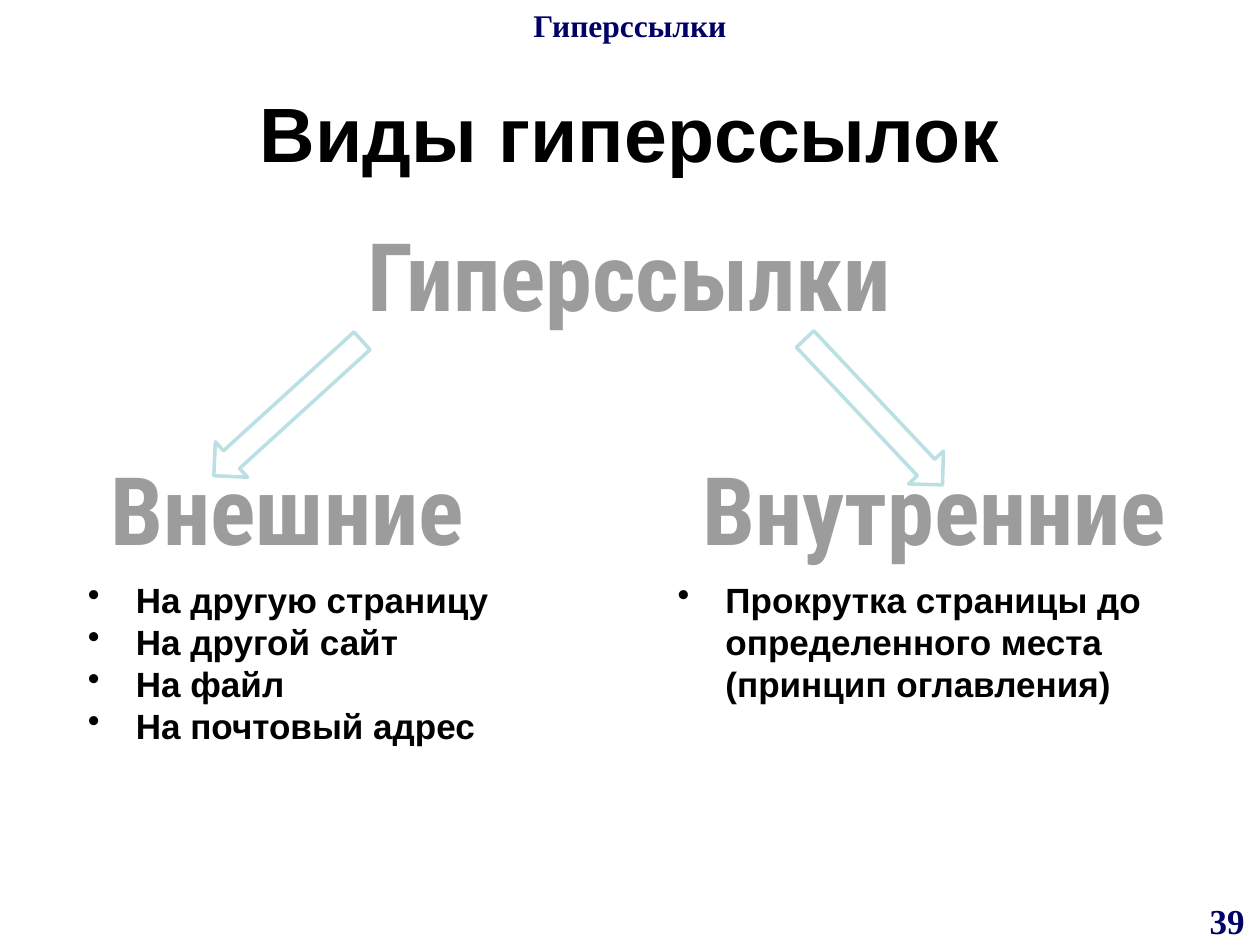
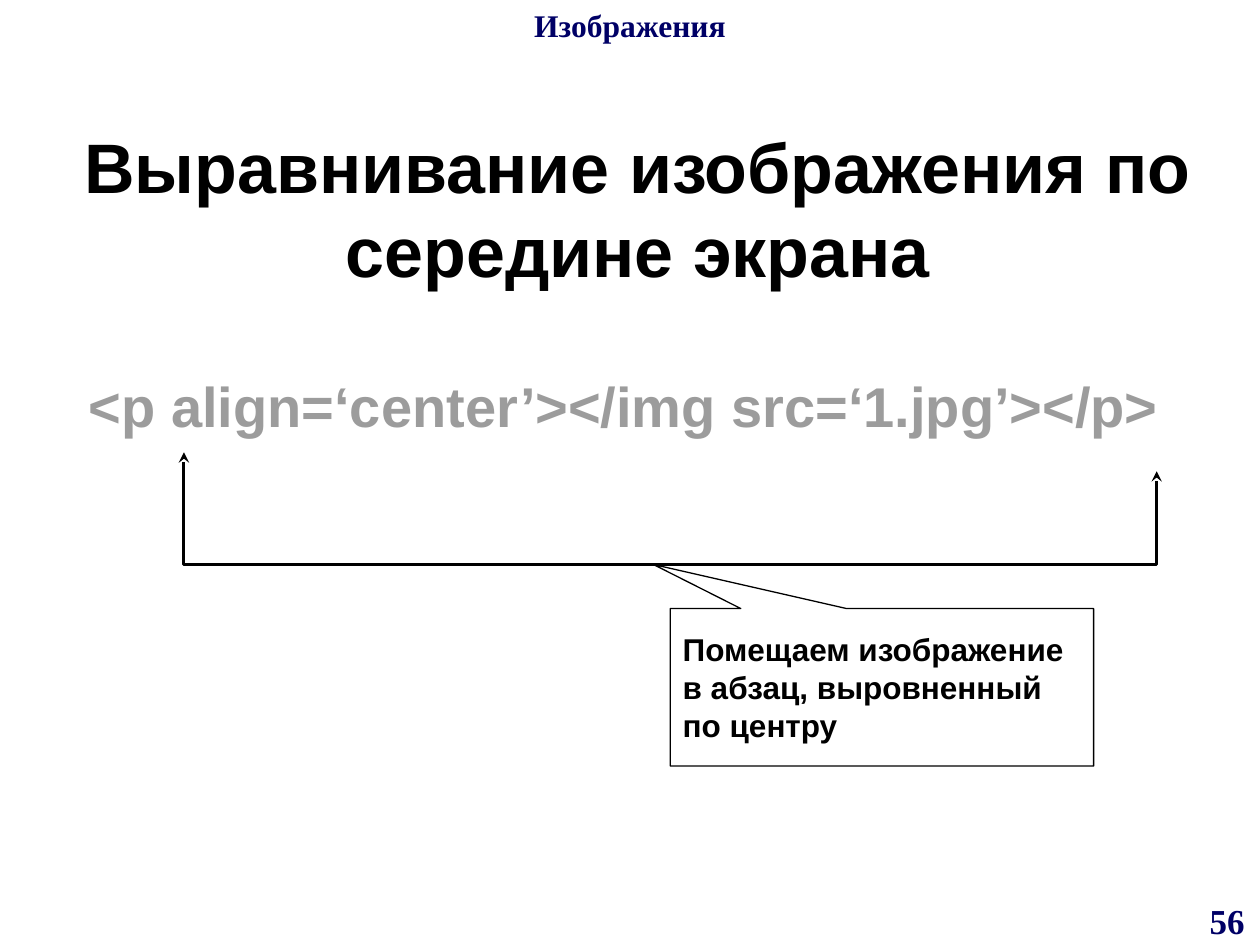
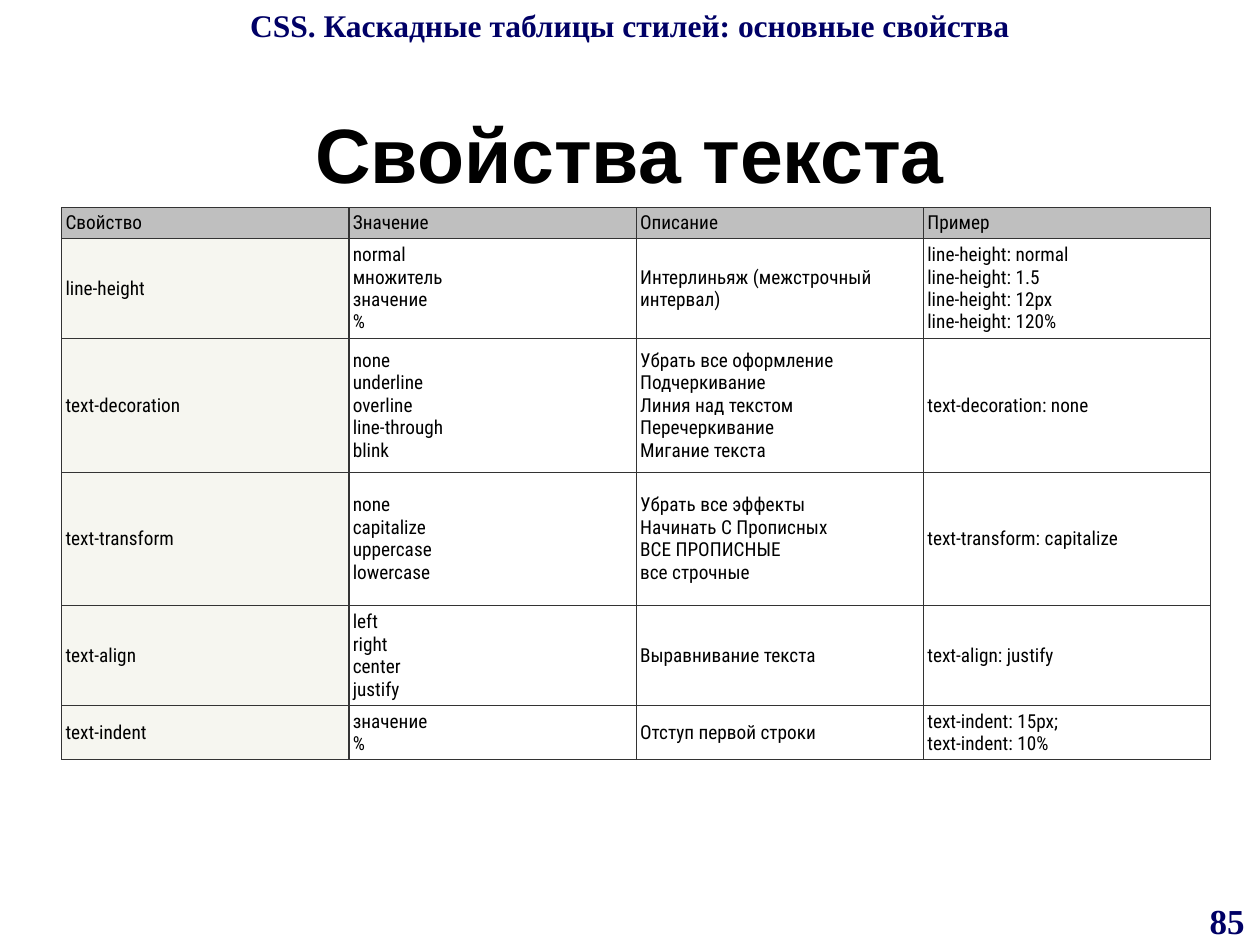
"""Builds three lesson slides on hyperlinks, images and CSS text properties."""
from lxml import etree
from pptx import Presentation
from pptx import util as u
from pptx.dml.color import RGBColor
from pptx.enum import shapes, text
from pptx.oxml.ns import qn

NAVY = RGBColor(0x00, 0x00, 0x66)
BLACK = RGBColor(0x00, 0x00, 0x00)
GREY = RGBColor(0x9C, 0x9C, 0x9C)
WHITE = RGBColor(0xFF, 0xFF, 0xFF)
PALE_BLUE = RGBColor(0xBB, 0xE0, 0xE3)
HEAD_FILL = RGBColor(0xBF, 0xBF, 0xBF)
NAME_FILL = RGBColor(0xF6, 0xF6, 0xF0)
BORDER = RGBColor(0x33, 0x33, 0x33)

SERIF, SANS, CONDENSED = "Times New Roman", "Arial", "Roboto Condensed"
WIDTH, HEIGHT = 10, 7.5
LEFT, CENTER = text.PP_ALIGN.LEFT, text.PP_ALIGN.CENTER

HEADINGS = [
    ("Гиперссылки", (2.38, 1.67, 5.23, 1.01)),
    ("Внешние", (0.48, 3.53, 3.6, 1.01)),
    ("Внутренние", (5.07, 3.53, 4.69, 1.01)),
]
ARROWS = [((1.49, 3.05, 1.59, 0.38), 137.7), ((6.14, 3.08, 1.59, 0.38), 46.7)]
LINK_LISTS = [
    (["На другую страницу", "На другой сайт", "На файл", "На почтовый адрес"],
     (0.6, 4.54, 3.8, 1.45)),
    (["Прокрутка страницы до определенного места (принцип оглавления)"],
     (5.28, 4.54, 4.07, 1.11)),
]
BRACKET = [(1.46, 3.59), (1.46, 4.48), (9.18, 4.48), (9.18, 3.74)]
ROW_HEIGHTS = [0.2, 0.69, 1.06, 1.06, 0.69, 0.36]
COLUMN_WIDTH = 2.28
PROPERTIES = [
    ("Свойство", "Значение", "Описание", "Пример"),
    ("line-height", "normal\nмножитель\nзначение\n%", "Интерлиньяж (межстрочный интервал)",
     "line-height: normal\nline-height: 1.5\nline-height: 12px\nline-height: 120%"),
    ("text-decoration", "none\nunderline\noverline\nline-through\nblink",
     "Убрать все оформление\nПодчеркивание\nЛиния над текстом\nПеречеркивание\nМигание текста",
     "text-decoration: none"),
    ("text-transform", "none\ncapitalize\nuppercase\nlowercase",
     "Убрать все эффекты\nНачинать С Прописных\nВСЕ ПРОПИСНЫЕ\nвсе строчные",
     "text-transform: capitalize"),
    ("text-align", "left\nright\ncenter\njustify", "Выравнивание текста", "text-align: justify"),
    ("text-indent", "значение\n%", "Отступ первой строки",
     "text-indent: 15px;\ntext-indent: 10%"),
]


def inches(values):
    return [u.Inches(value) for value in values]


def style_runs(paragraph, size, font, color, bold=True):
    for run in paragraph.runs:
        run.font.size, run.font.name, run.font.bold = u.Pt(size), font, bold
        run.font.color.rgb = color


def add_text(slide, box, lines, size, font=SANS, color=BLACK, align=LEFT, wrap=True):
    shape = slide.shapes.add_textbox(*inches(box))
    shape.text_frame.word_wrap = wrap
    shape.text_frame.text = "\n".join(lines)
    for paragraph in shape.text_frame.paragraphs:
        paragraph.alignment = align
        style_runs(paragraph, size, font, color)
    return shape


def add_outlined(slide, box, line, size, font):
    shape = add_text(slide, box, [line], size, font, GREY, CENTER, wrap=False)
    for run in shape.text_frame.paragraphs[0].runs:
        outline = etree.Element(qn("a:ln"), w=str(u.Pt(1)))
        add_solid_fill(outline, BLACK)
        run.font._element.insert(0, outline)


def add_solid_fill(parent, color):
    fill = etree.SubElement(parent, qn("a:solidFill"))
    etree.SubElement(fill, qn("a:srgbClr"), val=str(color))


def add_bullets(shape):
    for paragraph in shape.text_frame.paragraphs:
        properties = paragraph._p.get_or_add_pPr()
        properties.set("marL", str(u.Inches(0.38)))
        properties.set("indent", str(-u.Inches(0.38)))
        etree.SubElement(properties, qn("a:buChar"), char="•")


def style_shape(shape, color, width, fill=None):
    shape.shadow.inherit = False
    shape.line.color.rgb = color
    shape.line.width = u.Pt(width)
    if fill is None:
        shape.fill.background()
    else:
        shape.fill.solid()
        shape.fill.fore_color.rgb = fill


def add_slide(presentation, topic, number, title, title_box, title_size=44):
    slide = presentation.slides.add_slide(presentation.slide_layouts[6])
    add_text(slide, (9.48, 7.09, 0.52, 0.41), [number], 20, SERIF, NAVY, CENTER)
    add_text(slide, (0, 0, WIDTH, 0.63), [topic], 18, SERIF, NAVY, CENTER)
    add_text(slide, title_box, [title], title_size, align=CENTER)
    return slide


def build_links(presentation):
    slide = add_slide(presentation, "Гиперссылки", "39", "Виды гиперссылок", (0.5, 0.63, 9, 0.92))
    for heading, box in HEADINGS:
        add_outlined(slide, box, heading, 54, CONDENSED)
    for box, rotation in ARROWS:
        arrow = slide.shapes.add_shape(shapes.MSO_SHAPE.RIGHT_ARROW, *inches(box))
        arrow.rotation = rotation
        style_shape(arrow, PALE_BLUE, 2, WHITE)
    for lines, box in LINK_LISTS:
        add_bullets(add_text(slide, box, lines, 20))


def build_image_alignment(presentation):
    slide = add_slide(presentation, "Изображения", "56",
                      "Выравнивание изображения по середине экрана", (0.56, 0.93, 9, 1.25), 40)
    add_outlined(slide, (0.57, 2.9, 8.77, 0.64),
                 "<p align=‘center’></img src=‘1.jpg’></p>", 32, SANS)
    start, *corners = [inches(point) for point in BRACKET]
    builder = slide.shapes.build_freeform(*start)
    builder.add_line_segments(corners, close=False)
    bracket = builder.convert_to_shape()
    style_shape(bracket, BLACK, 1.75)
    for end in ("a:headEnd", "a:tailEnd"):
        etree.SubElement(bracket.line._get_or_add_ln(), qn(end), type="stealth")
    callout = slide.shapes.add_shape(shapes.MSO_SHAPE.RECTANGULAR_CALLOUT,
                                     *inches((5.32, 4.83, 3.36, 1.25)))
    callout.adjustments[0], callout.adjustments[1] = -0.54, -0.78
    style_shape(callout, BLACK, 0.75)
    add_text(slide, (5.32, 4.95, 3.4, 1.01),
             ["Помещаем изображение в абзац, выровненный по центру"], 18)


def fill_cell(cell, content, fill):
    cell.margin_left = cell.margin_right = cell.margin_top = cell.margin_bottom = u.Inches(0.03)
    cell.vertical_anchor = text.MSO_ANCHOR.MIDDLE
    paragraph = cell.text_frame.paragraphs[0]
    paragraph.text = content.replace("\n", "\v")
    style_runs(paragraph, 11, CONDENSED, BLACK, bold=False)
    for side in ("a:lnL", "a:lnR", "a:lnT", "a:lnB"):
        line = etree.SubElement(cell._tc.get_or_add_tcPr(), qn(side), w=str(u.Pt(0.75)))
        add_solid_fill(line, BORDER)
    if fill is None:
        cell.fill.background()
    else:
        cell.fill.solid()
        cell.fill.fore_color.rgb = fill


def build_text_properties(presentation):
    slide = add_slide(presentation, "CSS. Каскадные таблицы стилей: основные свойства", "85",
                      "Свойства текста", (0.5, 0.8, 9, 1.25))
    columns = len(PROPERTIES[0])
    box = (0.49, 1.65, columns * COLUMN_WIDTH, sum(ROW_HEIGHTS))
    table = slide.shapes.add_table(len(PROPERTIES), columns, *inches(box)).table
    table.first_row = table.horz_banding = False
    for column in table.columns:
        column.width = u.Inches(COLUMN_WIDTH)
    for row, (height, contents) in enumerate(zip(ROW_HEIGHTS, PROPERTIES)):
        table.rows[row].height = u.Inches(height)
        for column, content in enumerate(contents):
            fill = HEAD_FILL if row == 0 else NAME_FILL if column == 0 else None
            fill_cell(table.cell(row, column), content, fill)


def main():
    presentation = Presentation()
    presentation.slide_width, presentation.slide_height = inches((WIDTH, HEIGHT))
    build_links(presentation)
    build_image_alignment(presentation)
    build_text_properties(presentation)
    presentation.save("out.pptx")


if __name__ == "__main__":
    main()
